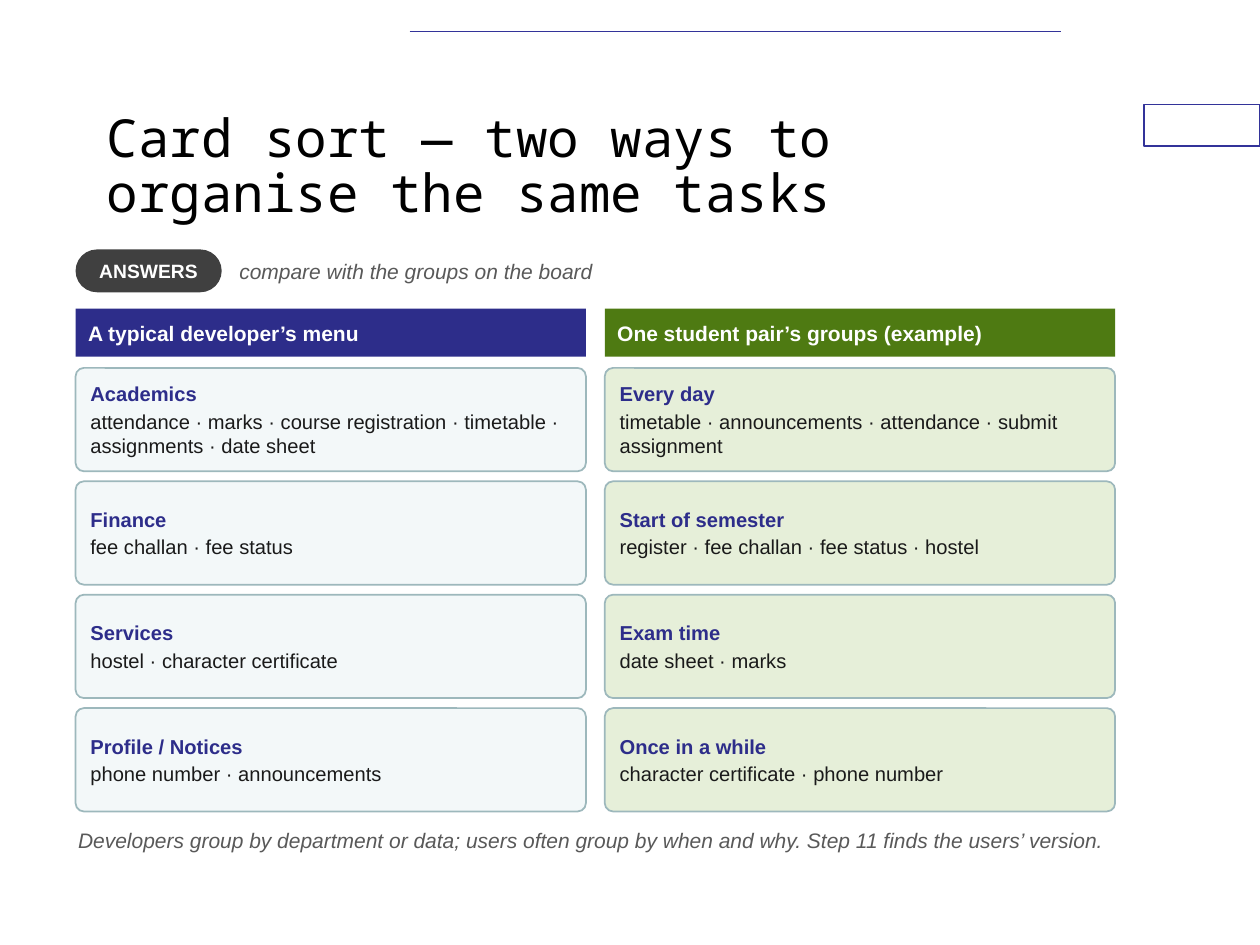
from dataclasses import dataclass

from lxml.etree import SubElement
from pptx import Presentation
from pptx.dml.color import RGBColor
from pptx.enum.shapes import MSO_CONNECTOR, MSO_SHAPE
from pptx.enum.text import MSO_ANCHOR as ANCHOR, PP_ALIGN as ALIGN
from pptx.oxml.ns import qn
from pptx.util import Inches, Pt

INDIGO = "2D2D8A"
RULE = "333399"
GREY = "595959"
COLUMN_W, COLUMN_STEP = 4.05, 4.2
CARD_H, CARD_STEP = 0.82, 0.9
LEFT, HEADER_TOP, CARD_TOP = 0.6, 2.45, 2.92


@dataclass
class Card:
    title: str
    tasks: str


@dataclass
class Column:
    heading: str
    header_fill: str
    card_fill: str
    cards: list[Card]


COLUMNS = [
    Column("A typical developer’s menu", INDIGO, "F3F8F9", [
        Card("Academics", "attendance · marks · course registration · timetable · "
             "assignments · date sheet"),
        Card("Finance", "fee challan · fee status"),
        Card("Services", "hostel · character certificate"),
        Card("Profile / Notices", "phone number · announcements"),
    ]),
    Column("One student pair’s groups (example)", "4E7A12", "E6EFD9", [
        Card("Every day", "timetable · announcements · attendance · submit assignment"),
        Card("Start of semester", "register · fee challan · fee status · hostel"),
        Card("Exam time", "date sheet · marks"),
        Card("Once in a while", "character certificate · phone number"),
    ]),
]


def rgb(value: str) -> RGBColor:
    return RGBColor.from_string(value)


def set_frame(sp, inset: float, anchor=ANCHOR.MIDDLE):
    tf = sp.text_frame
    tf.word_wrap = True
    tf.vertical_anchor = anchor
    tf.margin_left = tf.margin_right = Inches(inset)
    tf.margin_top = tf.margin_bottom = Inches(inset)
    return tf


def add_run(p, text: str, size: float, color: str, bold: bool = False,
            italic: bool = False, font: str = "Arial", align=ALIGN.LEFT) -> None:
    p.alignment = align
    r = p.add_run()
    r.text = text
    r.font.name = font
    r.font.size = Pt(size)
    r.font.bold = bold
    r.font.italic = italic
    r.font.color.rgb = rgb(color)


def add_box(s, kind, x: float, y: float, w: float, h: float, fill: str,
            line: str | None = None, weight: float = 1, radius: float | None = None):
    sp = s.shapes.add_shape(kind, Inches(x), Inches(y), Inches(w), Inches(h))
    sp.shadow.inherit = False
    sp.fill.solid()
    sp.fill.fore_color.rgb = rgb(fill)
    if line:
        sp.line.color.rgb = rgb(line)
        sp.line.width = Pt(weight)
    else:
        sp.line.fill.background()
    if radius is not None:
        sp.adjustments[0] = radius
    return sp


def add_text(s, x: float, y: float, w: float, h: float, inset: float, anchor=ANCHOR.MIDDLE):
    sp = s.shapes.add_textbox(Inches(x), Inches(y), Inches(w), Inches(h))
    return set_frame(sp, inset, anchor)


def add_rule(s, x1: float, x2: float, y: float) -> None:
    line = s.shapes.add_connector(MSO_CONNECTOR.STRAIGHT, Inches(x1), Inches(y),
                                  Inches(x2), Inches(y))
    line.line.color.rgb = rgb(RULE)
    line.line.width = Pt(1)
    SubElement(line._element.spPr, qn("a:effectLst"))


def add_title(s, text: str) -> None:
    tf = add_text(s, 0.75, 0.67, 7.5, 1.25, 0.1)
    tf.margin_top, tf.margin_bottom = Inches(0.09), Inches(0.01)
    p = tf.paragraphs[0]
    p.line_spacing = 0.88
    add_run(p, text, 30, "000000", font="Noto Sans Mono")


def add_card(s, card: Card, x: float, y: float, fill: str) -> None:
    sp = add_box(s, MSO_SHAPE.ROUNDED_RECTANGLE, x, y, COLUMN_W, CARD_H, fill,
                 "9DB8BC", radius=0.08)
    tf = set_frame(sp, 0.1)
    add_run(tf.paragraphs[0], card.title, 11.5, INDIGO, bold=True)
    p = tf.add_paragraph()
    p.space_before = Pt(2)
    add_run(p, card.tasks, 11.5, "1A1A1A")


def add_column(s, column: Column, x: float) -> None:
    sp = add_box(s, MSO_SHAPE.RECTANGLE, x, HEADER_TOP, COLUMN_W, 0.38, column.header_fill)
    add_run(set_frame(sp, 0.1).paragraphs[0], column.heading, 12, "FFFFFF", bold=True)
    for row, card in enumerate(column.cards):
        add_card(s, card, x, CARD_TOP + row * CARD_STEP, column.card_fill)


def main() -> None:
    prs = Presentation()
    prs.slide_width, prs.slide_height = Inches(10), Inches(7.5)
    s = prs.slides.add_slide(prs.slide_layouts[6])

    add_box(s, MSO_SHAPE.RECTANGLE, 9.08, 0.83, 0.92, 0.33, "FFFFFF", RULE, 0.75)
    add_rule(s, 3.25, 8.42, 0.25)
    add_title(s, "Card sort — two ways to organise the same tasks")

    badge = add_box(s, MSO_SHAPE.ROUNDED_RECTANGLE, LEFT, 1.98, 1.16, 0.34, "404040",
                    radius=0.5)
    add_run(set_frame(badge, 0.03).paragraphs[0], "ANSWERS", 11, "FFFFFF", bold=True,
            align=ALIGN.CENTER)
    hint = add_text(s, 1.88, 1.98, 7.03, 0.34, 0.02)
    add_run(hint.paragraphs[0], "compare with the groups on the board", 12, GREY, italic=True)

    for i, column in enumerate(COLUMNS):
        add_column(s, column, LEFT + i * COLUMN_STEP)

    note = add_text(s, LEFT, 6.55, 8.3, 0.5, 0.02, ANCHOR.TOP)
    add_run(note.paragraphs[0], "Developers group by department or data; users often group "
            "by when and why. Step 11 finds the users’ version.", 12, GREY, italic=True)

    prs.save("out.pptx")


if __name__ == "__main__":
    main()
